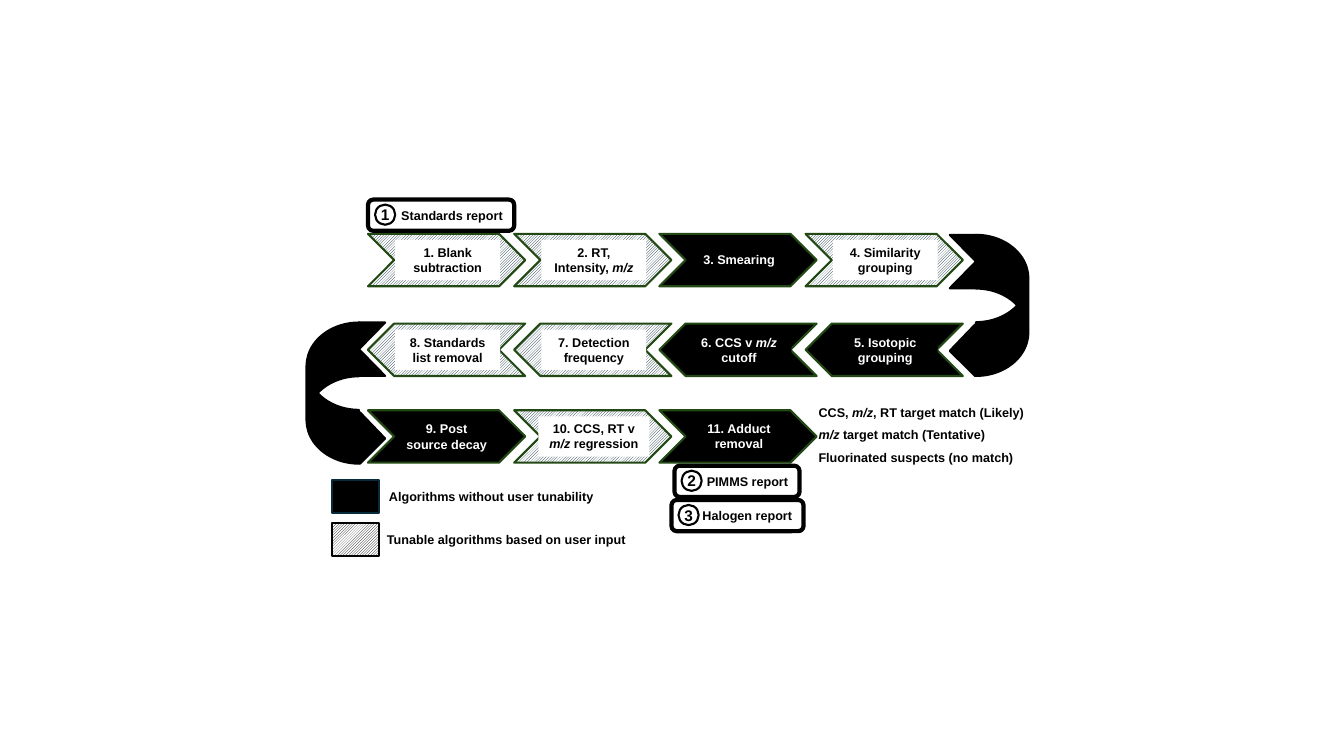
from pptx import Presentation
from pptx.dml.color import RGBColor
from pptx.enum.dml import MSO_PATTERN
from pptx.enum.shapes import MSO_CONNECTOR, MSO_SHAPE
from pptx.enum.text import MSO_ANCHOR, PP_ALIGN
from pptx.oxml.ns import qn
from pptx.util import Pt
from lxml import etree

PX = 9144  # 100 px to the inch
COLORS = {
    "black": "000000", "white": "FFFFFF", "green": "224914",
    "hatch": "042433", "legend_edge": "092A39",
}
CHEVRON, RECT, OVAL = MSO_SHAPE.CHEVRON, MSO_SHAPE.RECTANGLE, MSO_SHAPE.OVAL
ROUNDED, TRIANGLE = MSO_SHAPE.ROUNDED_RECTANGLE, MSO_SHAPE.ISOSCELES_TRIANGLE
CURVED_ARROW = MSO_SHAPE.CURVED_LEFT_ARROW
STRAIGHT = MSO_CONNECTOR.STRAIGHT
HATCHING = MSO_PATTERN.DARK_UPWARD_DIAGONAL
LEFT, CENTER, RIGHT = PP_ALIGN.LEFT, PP_ALIGN.CENTER, PP_ALIGN.RIGHT
TOP, MIDDLE = MSO_ANCHOR.TOP, MSO_ANCHOR.MIDDLE

STEP_WIDTH, STEP_HEIGHT = 156, 52
COLUMNS = (365, 510, 654, 799)
ROWS = (232, 321, 407)
MIRROR_SUM = 1324  # left edge + right edge of mirrored U-turn parts
TURN_DROP = 87

# row, column, text, tunable, lines, label width
STEPS = (
    (0, 0, "1. Blank subtraction", True, 2, 104),
    (0, 1, "2. RT, Intensity, m/z", True, 2, 104),
    (0, 2, "3. Smearing", False, 1, 104),
    (0, 3, "4. Similarity grouping", True, 2, 104),
    (1, 3, "5. Isotopic grouping", False, 2, 104),
    (1, 2, "6. CCS v m/z cutoff", False, 2, 104),
    (1, 1, "7. Detection frequency", True, 2, 104),
    (1, 0, "8. Standards list removal", True, 2, 104),
    (2, 0, "9. Post source decay", False, 2, None),
    (2, 1, "10. CCS, RT v m/z regression", True, 2, 110),
    (2, 2, "11. Adduct removal", False, 2, 104),
)
OUTCOMES = (
    (397, 228, "CCS, m/z, RT target match (Likely)"),
    (419, 195, "m/z target match (Tentative)"),
    (441, 216, "Fluorinated suspects (no match)"),
)
REPORTS = (
    (365, 198, 145, "1", "Standards report"),
    (669, 462, 124, "2", "PIMMS report"),
    (666, 496, 131, "3", "Halogen report"),
)


def color(name):
    return RGBColor.from_string(COLORS[name])


def paint(shape, fill, line, weight=1.5, hatch="hatch"):
    """Set fill and outline; fill may be a colour name, "hatched" or None."""
    shape.shadow.inherit = False
    if fill is None:
        shape.fill.background()
    elif fill == "hatched":
        shape.fill.patterned()
        shape.fill.pattern = HATCHING
        shape.fill.fore_color.rgb = color(hatch)
        shape.fill.back_color.rgb = color("white")
    else:
        shape.fill.solid()
        shape.fill.fore_color.rgb = color(fill)
    if line is None:
        shape.line.fill.background()
    else:
        shape.line.color.rgb = color(line)
        shape.line.width = Pt(weight)


def add_shape(slide, kind, box, fill, line, flip=False, **style):
    shape = slide.shapes.add_shape(kind, *(value * PX for value in box))
    paint(shape, fill, line, **style)
    if flip:
        shape._element.spPr.get_or_add_xfrm().set("flipH", "1")
    return shape


def write(shape, text, size=9, ink="black", align=LEFT, anchor=TOP, inset=None):
    """Write bold text, with every m/z in italics."""
    frame = shape.text_frame
    frame.word_wrap = True
    frame.vertical_anchor = anchor
    if inset is not None:
        frame.margin_left = frame.margin_right = inset * PX
        frame.margin_top = frame.margin_bottom = inset * PX
    paragraph = frame.paragraphs[0]
    paragraph.alignment = align
    for index, part in enumerate(text.split("m/z")):
        for content, italic in (("m/z" if index else "", True), (part, False)):
            if content:
                run = paragraph.add_run()
                run.text = content
                run.font.name = "Arial"
                run.font.size = Pt(size)
                run.font.bold = True
                run.font.italic = italic
                run.font.color.rgb = color(ink)


def add_text(slide, box, text, **style):
    write(slide.shapes.add_textbox(*(value * PX for value in box)), text, **style)


def add_step(slide, row, column, text, tunable, lines, label_width):
    left, top = COLUMNS[column], ROWS[row]
    target = add_shape(slide, CHEVRON, (left, top, STEP_WIDTH, STEP_HEIGHT),
                       "hatched" if tunable else "black", "green", flip=row == 1)
    if label_width:
        height = 15 * lines + 10
        box = (left + (STEP_WIDTH - label_width) // 2 + 1,
               top + (STEP_HEIGHT - height) // 2, label_width, height)
        target = add_shape(slide, RECT, box, "white" if tunable else "black", None)
    write(target, text, ink="black" if tunable else "white", align=CENTER,
          anchor=TOP if label_width else MIDDLE)


def add_turn(slide, mirrored):
    """Draw the U-turn on the right, or its mirror image one row down."""
    drop = TURN_DROP if mirrored else 0

    def flip_x(x):
        return MIRROR_SUM - x if mirrored else x

    def part(kind, left, top, width, height):
        edge = MIRROR_SUM - left - width if mirrored else left
        return add_shape(slide, kind, (edge, top + drop, width, height),
                         "black", "black", flip=mirrored)

    arrow = part(CURVED_ARROW, 968, 233, 52, 140)
    for index, value in enumerate((1.243, 1.025, 0)):
        arrow.adjustments[index] = value

    edge = slide.shapes.add_connector(
        STRAIGHT, flip_x(968) * PX, (243 + drop) * PX,
        flip_x(994) * PX, (260 + drop) * PX)
    edge.line.color.rgb = color("black")
    edge.line.width = Pt(1.5)
    etree.SubElement(edge._element.spPr, qn("a:effectLst"))

    triangle = part(TRIANGLE, 929, 335, 51, 25)
    triangle.adjustments[0] = 0.49
    triangle.rotation = 90 if mirrored else 270
    part(CHEVRON, 942, 233, 52, 53)

    points = [(flip_x(x) * PX, (y + drop) * PX) for x, y in (
        (969, 234), (975, 235), (997, 257), (973, 282), (968, 281), (992, 258))]
    builder = slide.shapes.build_freeform(*points[0])
    builder.add_line_segments(points[1:], close=True)
    paint(builder.convert_to_shape(), "black", "black")
    part(RECT, 968, 324, 5, 47)


def add_report(slide, left, top, width, number, title):
    frame = add_shape(slide, ROUNDED, (left, top, width, 31), None, "black", weight=3)
    write(frame, title, align=RIGHT, anchor=MIDDLE)
    badge = add_shape(slide, OVAL, (left + 7, top + 5, 20, 20), None, "black")
    write(badge, number, size=11, align=CENTER, anchor=MIDDLE, inset=0)


def add_legend(slide):
    add_shape(slide, RECT, (329, 476, 47, 33), "black", "legend_edge")
    add_shape(slide, RECT, (329, 519, 47, 33), "hatched", "black", hatch="black")
    add_text(slide, (376, 480, 284, 25), "Algorithms without user tunability")
    add_text(slide, (374, 523, 284, 25), "Tunable algorithms based on user input")


def main():
    presentation = Presentation()
    presentation.slide_width = 1333 * PX
    presentation.slide_height = 750 * PX
    slide = presentation.slides.add_slide(presentation.slide_layouts[6])
    add_turn(slide, mirrored=False)
    for top, width, text in OUTCOMES:
        add_text(slide, (802, top, width, 25), text)
    for step in STEPS:
        add_step(slide, *step)
    add_legend(slide)
    add_turn(slide, mirrored=True)
    for report in REPORTS:
        add_report(slide, *report)
    presentation.save("out.pptx")


if __name__ == "__main__":
    main()
